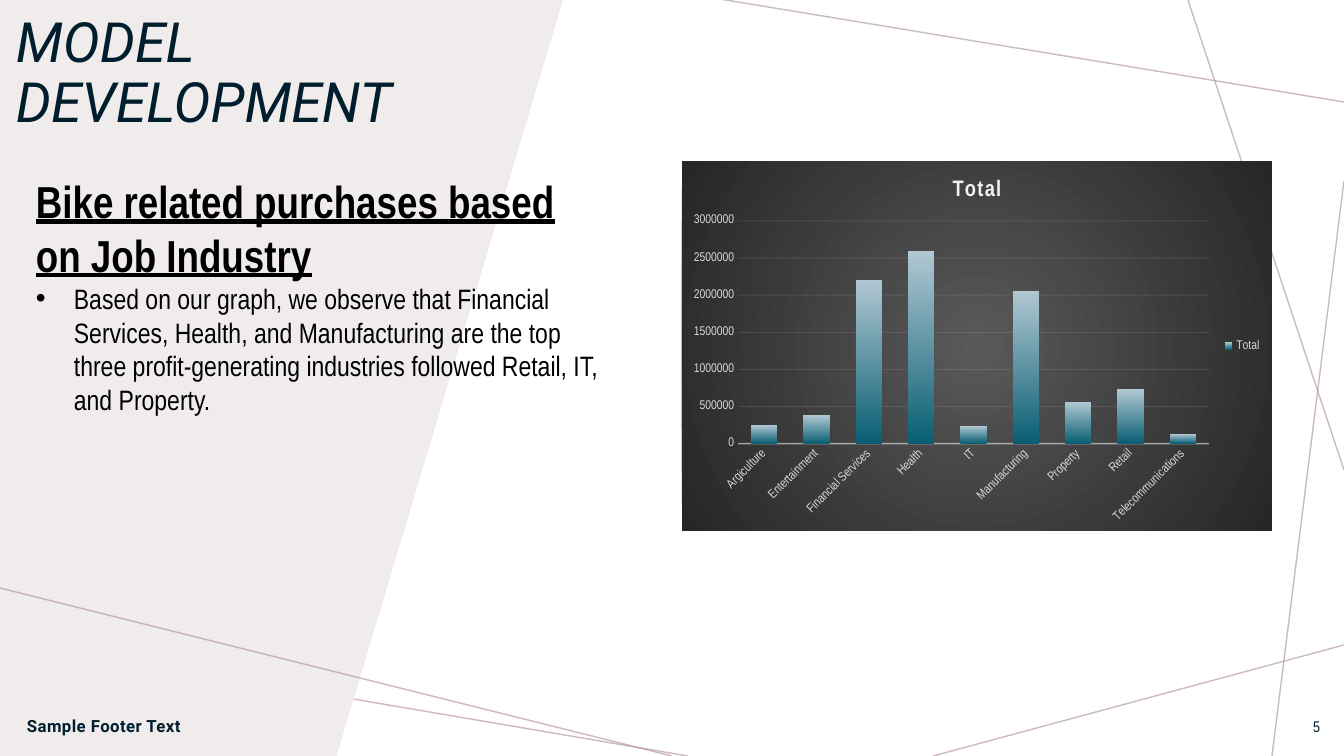
"""Builds the Model Development slide with a chart of purchases by job industry."""
from lxml import etree
from pptx import Presentation
from pptx.chart.data import CategoryChartData
from pptx.dml.color import RGBColor
from pptx.enum.chart import XL_CHART_TYPE, XL_LEGEND_POSITION, XL_TICK_MARK
from pptx.enum.shapes import MSO_CONNECTOR
from pptx.enum.text import MSO_ANCHOR, MSO_AUTO_SIZE, PP_ALIGN
from pptx.oxml import parse_xml
from pptx.oxml.ns import nsdecls, qn
from pptx.util import Pt

COLORS = {
    "white": "FFFFFF", "rose": "BA9CA0", "panel": "F0ECEC", "navy": "001E2E",
    "black": "000000", "label": "D9D9D9", "pale": "F2F2F2",
    "chart_center": "595959", "chart_edge": "262626",
    "bar_bottom": "095E73", "bar_top": "B1C8D3",
}
NARROW, ROBOTO = "Arial Narrow", "Roboto"

BACK_LINES = [
    (344, 0, 0, 76), (688, 756, -5, 638), (1344, 645, 933, 756),
    (1344, 181, 1272, 756), (1344, 470, 1188, 0), (1344, 102, 720, -1),
]
FRONT_LINES = [(672, 756, 0, 588)]
PANEL = [(336, 758), (0, 762), (0, -2), (563, 0)]

TEXTS = [
    {"box": (6, 10, 517, 129), "frame": {}, "paragraphs": [
        {"text": "MODEL DEVELOPMENT", "format": {"line_spacing": 0.9}, "color": "navy",
         "font": {"name": ROBOTO, "size": Pt(39.6), "italic": True}}]},
    {"box": (17, 706, 496, 40), "frame": {"vertical_anchor": MSO_ANCHOR.MIDDLE}, "paragraphs": [
        {"text": "Sample Footer Text", "color": "navy", "spacing": 30,
         "font": {"name": ROBOTO, "size": Pt(12), "bold": True}}]},
    {"box": (1279, 706, 51, 40), "frame": {"vertical_anchor": MSO_ANCHOR.MIDDLE}, "paragraphs": [
        {"text": "5", "format": {"alignment": PP_ALIGN.RIGHT}, "color": "navy",
         "font": {"name": NARROW, "size": Pt(11)}}]},
    {"box": (26, 169, 587, 254), "frame": {"auto_size": MSO_AUTO_SIZE.SHAPE_TO_FIT_TEXT}, "paragraphs": [
        {"text": "Bike related purchases based on Job Industry", "color": "black",
         "font": {"name": NARROW, "size": Pt(32), "bold": True, "underline": True}},
        {"text": "Based on our graph, we observe that Financial Services, Health, and "
                 "Manufacturing are the top three profit-generating industries followed "
                 "Retail, IT, and Property.",
         "color": "black", "bullet": "•", "indent": 38,
         "font": {"name": NARROW, "size": Pt(20)}}]},
]

CHART_BOX = (682, 161, 590, 370)
CHART_TITLE = "Total"
PURCHASES = {
    "Argiculture": 250000, "Entertainment": 380000, "Financial Services": 2210000,
    "Health": 2590000, "IT": 240000, "Manufacturing": 2060000,
    "Property": 560000, "Retail": 730000, "Telecommunications": 130000,
}
LABEL_FONT = {"name": NARROW, "size": Pt(9), "bold": False}
TITLE_FONT = {"name": NARROW, "size": Pt(16), "bold": True}
RADIAL = '<a:path path="circle"><a:fillToRect l="50000" t="50000" r="50000" b="50000"/></a:path>'
UPWARD = '<a:lin ang="16200000" scaled="0"/>'
SCALE = 914400 / 100.8


def px(length):
    return round(length * SCALE)


def rgb(color):
    return RGBColor.from_string(COLORS[color])


def assign(target, values):
    for key, value in values.items():
        setattr(target, key, value)


def style_font(font, values, color):
    assign(font, values)
    font.color.rgb = rgb(color)


def style_line(line, color, width, opacity):
    line.color.rgb = rgb(color)
    line.width = Pt(width)
    shade = line.fill._xPr.find(f".//{qn('a:srgbClr')}")
    etree.SubElement(shade, qn("a:alpha"), val=str(opacity * 1000))


def gradient(start, end, direction):
    return parse_xml(
        f'<a:gradFill {nsdecls("a")} rotWithShape="1"><a:gsLst>'
        f'<a:gs pos="0"><a:srgbClr val="{COLORS[start]}"/></a:gs>'
        f'<a:gs pos="100000"><a:srgbClr val="{COLORS[end]}"/></a:gs>'
        f'</a:gsLst>{direction}</a:gradFill>')


def add_lines(slide, lines):
    for ends in lines:
        line = slide.shapes.add_connector(MSO_CONNECTOR.STRAIGHT, *map(px, ends))
        style_line(line.line, "rose", 1, 70)
        etree.SubElement(line._element.spPr, qn("a:effectLst"))


def add_panel(slide):
    builder = slide.shapes.build_freeform(*PANEL[0], scale=SCALE)
    builder.add_line_segments(PANEL[1:], close=True)
    panel = builder.convert_to_shape()
    panel.shadow.inherit = False
    panel.fill.solid()
    panel.fill.fore_color.rgb = rgb("panel")
    panel.line.fill.background()


def add_text(slide, content):
    frame = slide.shapes.add_textbox(*map(px, content["box"])).text_frame
    assign(frame, {"word_wrap": True, **content["frame"]})
    for index, part in enumerate(content["paragraphs"]):
        paragraph = frame.add_paragraph() if index else frame.paragraphs[0]
        assign(paragraph, part.get("format", {}))
        run = paragraph.add_run()
        run.text = part["text"]
        style_font(run.font, part["font"], part["color"])
        if "spacing" in part:
            run.font._element.set("spc", str(part["spacing"]))
        if "bullet" in part:
            properties = paragraph._p.get_or_add_pPr()
            properties.set("marL", str(px(part["indent"])))
            properties.set("indent", str(-px(part["indent"])))
            etree.SubElement(properties, qn("a:buFont"), typeface="Arial")
            etree.SubElement(properties, qn("a:buChar"), char=part["bullet"])


def add_purchases_chart(slide):
    data = CategoryChartData()
    data.categories = list(PURCHASES)
    data.add_series(CHART_TITLE, list(PURCHASES.values()))
    chart = slide.shapes.add_chart(
        XL_CHART_TYPE.COLUMN_CLUSTERED, *map(px, CHART_BOX), data).chart
    style_font(chart.font, {"name": NARROW, "size": Pt(10)}, "black")
    background = parse_xml(f'<c:spPr {nsdecls("c", "a")}><a:ln><a:noFill/></a:ln></c:spPr>')
    background.insert(0, gradient("chart_center", "chart_edge", RADIAL))
    chart._chartSpace.find(qn("c:txPr")).addprevious(background)

    heading = chart.chart_title.text_frame.paragraphs[0].add_run()
    heading.text = CHART_TITLE
    style_font(heading.font, TITLE_FONT, "pale")
    heading.font._element.set("spc", "100")
    chart.chart_title.include_in_layout = False

    chart.has_legend = True
    assign(chart.legend, {"position": XL_LEGEND_POSITION.RIGHT, "include_in_layout": False})
    style_font(chart.legend.font, LABEL_FONT, "label")

    for axis in (chart.category_axis, chart.value_axis):
        assign(axis, {"major_tick_mark": XL_TICK_MARK.NONE, "minor_tick_mark": XL_TICK_MARK.NONE})
        style_font(axis.tick_labels.font, LABEL_FONT, "label")
    style_line(chart.category_axis.format.line, "pale", 1, 54)
    chart.category_axis._element.find(f"{qn('c:txPr')}/{qn('a:bodyPr')}").set("rot", "-2700000")
    assign(chart.value_axis, {"minimum_scale": 0, "maximum_scale": 3000000, "major_unit": 500000})
    chart.value_axis.format.line.fill.background()
    style_line(chart.value_axis.major_gridlines.format.line, "pale", 0.75, 10)

    plot = chart.plots[0]
    assign(plot, {"gap_width": 100, "overlap": -24, "vary_by_categories": False})
    bars = plot.series[0]._element.get_or_add_spPr()
    bars.insert(0, gradient("bar_bottom", "bar_top", UPWARD))


def main():
    deck = Presentation()
    assign(deck, {"slide_width": px(1344), "slide_height": px(756)})
    slide = deck.slides.add_slide(deck.slide_layouts[6])
    slide.background.fill.solid()
    slide.background.fill.fore_color.rgb = rgb("white")
    add_lines(slide, BACK_LINES)
    add_panel(slide)
    add_lines(slide, FRONT_LINES)
    for content in TEXTS:
        add_text(slide, content)
    add_purchases_chart(slide)
    deck.save("out.pptx")


if __name__ == "__main__":
    main()
